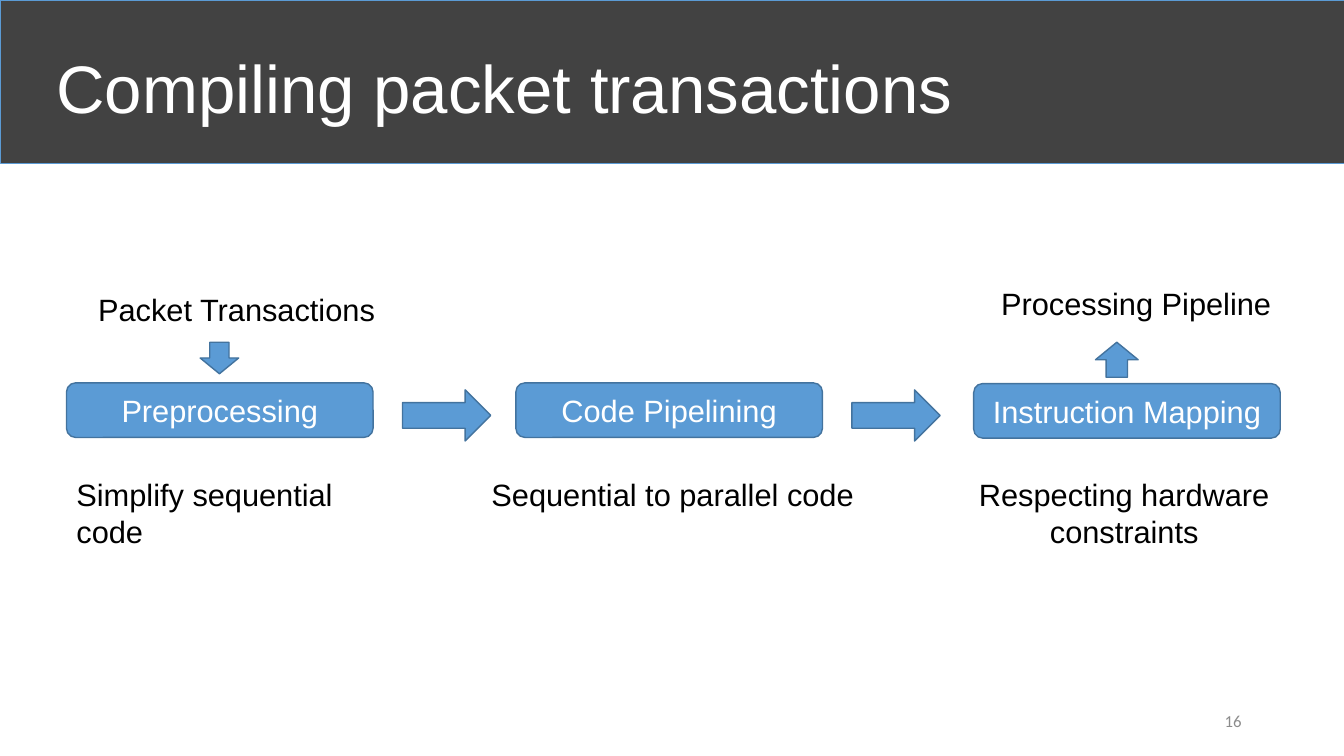
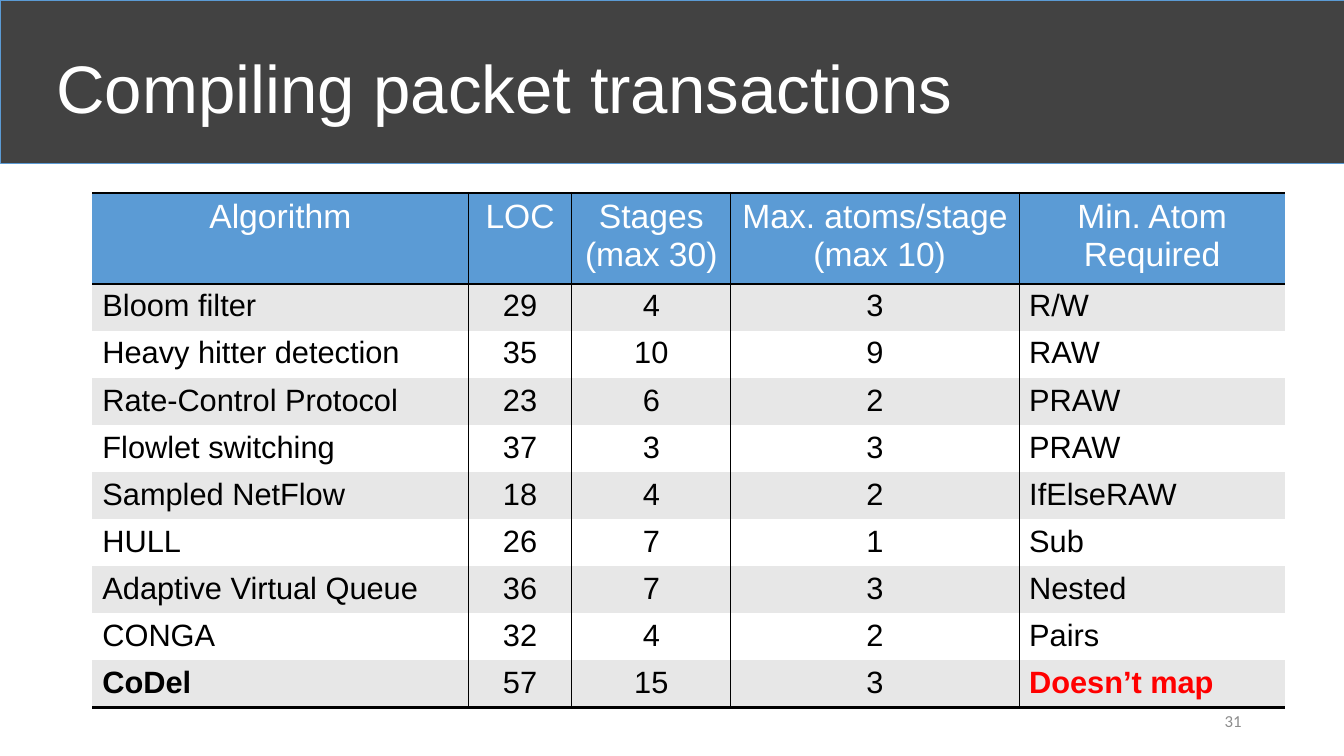
from lxml import etree
from pptx import Presentation
from pptx.dml.color import RGBColor
from pptx.enum import shapes, text
from pptx.oxml import ns
from pptx.util import Pt

GEO = shapes.MSO_SHAPE
LEFT, MID, RIGHT = text.PP_ALIGN.LEFT, text.PP_ALIGN.CENTER, text.PP_ALIGN.RIGHT
BLUE, EDGE, DARK, GREY = "5B9BD5", "43739E", "424242", "8C8C8C"
BLACK, WHITE, STRIPE, RED = "000000", "FFFFFF", "E7E7E7", "FF0000"


def tint(code):
    return RGBColor.from_string(code)


class Deck:
    """Holds the shared style and the current slide."""

    def __init__(self):
        self.prs = Presentation()
        self.prs.slide_width, self.prs.slide_height = Pt(960), Pt(540)
        self.lay = self.prs.slide_layouts[5]
        self.banded = False

    def page(self, title, num):
        self.slide = self.prs.slides.add_slide(self.lay)
        if not self.banded:
            band = self.shape(GEO.RECTANGLE, 0, 0, 960, 116.6, DARK, BLUE, 0.5)
            self.lay.shapes.element.insert(2, band.element)
            self.banded = True
        head = self.slide.shapes.title
        head.left, head.top, head.width, head.height = Pt(33), Pt(9.5), Pt(828), Pt(104.5)
        frame = head.text_frame
        frame.auto_size = text.MSO_AUTO_SIZE.NONE
        frame.vertical_anchor = text.MSO_ANCHOR.MIDDLE
        self.say(frame, title, 48, WHITE)
        self.label(num, 678, 500.5, 216, 29, RIGHT, 12, GREY, "Calibri",
                   text.MSO_ANCHOR.MIDDLE)

    def say(self, frame, words, size, color, align=LEFT, font="Arial", bold=False):
        for i, line in enumerate(words.split("\n")):
            para = frame.add_paragraph() if i else frame.paragraphs[0]
            para.alignment = align
            run = para.add_run()
            run.text = line
            run.font.name, run.font.size, run.font.bold = font, Pt(size), bold
            run.font.color.rgb = tint(color)

    def label(self, words, x, y, w, h=34, align=LEFT, size=22, color=BLACK,
              font="Arial", anchor=text.MSO_ANCHOR.TOP):
        frame = self.slide.shapes.add_textbox(Pt(x), Pt(y), Pt(w), Pt(h)).text_frame
        frame.word_wrap = True
        frame.vertical_anchor = anchor
        self.say(frame, words, size, color, align, font)

    def shape(self, kind, x, y, w, h, fill=BLUE, line=EDGE, width=1):
        item = self.slide.shapes.add_shape(kind, Pt(x), Pt(y), Pt(w), Pt(h))
        item.shadow.inherit = False
        item.fill.solid()
        item.fill.fore_color.rgb = tint(fill)
        item.line.color.rgb = tint(line)
        item.line.width = Pt(width)
        return item

    def box(self, words, x, y):
        frame = self.shape(GEO.ROUNDED_RECTANGLE, x, y, 219, 39).text_frame
        frame.vertical_anchor = text.MSO_ANCHOR.MIDDLE
        self.say(frame, words, 22, WHITE, MID)

    def edge(self, cell, side, width):
        line = etree.SubElement(cell._tc.get_or_add_tcPr(), ns.qn("a:ln" + side))
        if width:
            line.set("w", str(Pt(width)))
            fill = etree.SubElement(line, ns.qn("a:solidFill"))
            etree.SubElement(fill, ns.qn("a:srgbClr")).set("val", BLACK)
        else:
            etree.SubElement(line, ns.qn("a:noFill"))

    def table(self, rows, x, y, cols, first, rest):
        total = first + rest * (len(rows) - 1)
        grid = self.slide.shapes.add_table(
            len(rows), len(cols), Pt(x), Pt(y), Pt(sum(cols)), Pt(total)).table
        for col, width in zip(grid.columns, cols):
            col.width = Pt(width)
        end, last = len(rows) - 1, len(cols) - 1
        for r, row in enumerate(rows):
            grid.rows[r].height = Pt(rest if r else first)
            for c, words in enumerate(row):
                cell = grid.cell(r, c)
                self.edge(cell, "L", 1 if c else 0)
                self.edge(cell, "R", 1 if c < last else 0)
                self.edge(cell, "T", 2 if r < 2 else 0)
                self.edge(cell, "B", 2 if r in (0, end) else 0)
                cell.fill.solid()
                cell.fill.fore_color.rgb = tint((STRIPE if r % 2 else WHITE) if r else BLUE)
                bold = r == end and c in (0, last)
                color = RED if bold and c else BLACK if r else WHITE
                align = MID if r == 0 or 0 < c < last else LEFT
                self.say(cell.text_frame, words, 22 if r else 24, color, align, bold=bold)


ROWS = [
    ("Algorithm", "LOC", "Stages\n(max 30)", "Max. atoms/stage\n (max 10)", "Min. Atom Required"),
    ("Bloom filter", "29", "4", "3", "R/W"),
    ("Heavy hitter detection", "35", "10", "9", "RAW"),
    ("Rate-Control Protocol", "23", "6", "2", "PRAW"),
    ("Flowlet switching", "37", "3", "3", "PRAW"),
    ("Sampled NetFlow", "18", "4", "2", "IfElseRAW"),
    ("HULL", "26", "7", "1", "Sub"),
    ("Adaptive Virtual Queue", "36", "7", "3", "Nested"),
    ("CONGA", "32", "4", "2", "Pairs"),
    ("CoDel", "57", "15", "3", "Doesn’t map"),
]


def main():
    deck = Deck()
    title = "Compiling packet transactions"

    deck.page(title, "16")
    deck.label("Packet Transactions", 63, 204, 243)
    deck.shape(GEO.DOWN_ARROW, 143, 244.5, 27.5, 22.5)
    for words, x, y in (("Preprocessing", 47.5, 273.5), ("Code Pipelining", 368.5, 273.5),
                        ("Instruction Mapping", 695.5, 274)):
        deck.box(words, x, y)
    for x in (287.5, 608.5):
        deck.shape(GEO.RIGHT_ARROW, x, 278.5, 63, 36.5)
    deck.shape(GEO.UP_ARROW, 782.5, 244.5, 30.5, 25)
    deck.label("Processing Pipeline", 708, 200, 240)
    for words, x, w, align in (("Simplify sequential code", 47.5, 225, LEFT),
                               ("Sequential to parallel code", 344, 280, LEFT),
                               ("Respecting hardware constraints", 675, 256, MID)):
        deck.label(words, x, 336.5, w, 60, align)

    deck.page(title, "31")
    deck.table(ROWS, 66, 138, (268.5, 74, 113.5, 206, 190), 60.6, 32.6)

    deck.prs.save("out.pptx")


if __name__ == "__main__":
    main()
